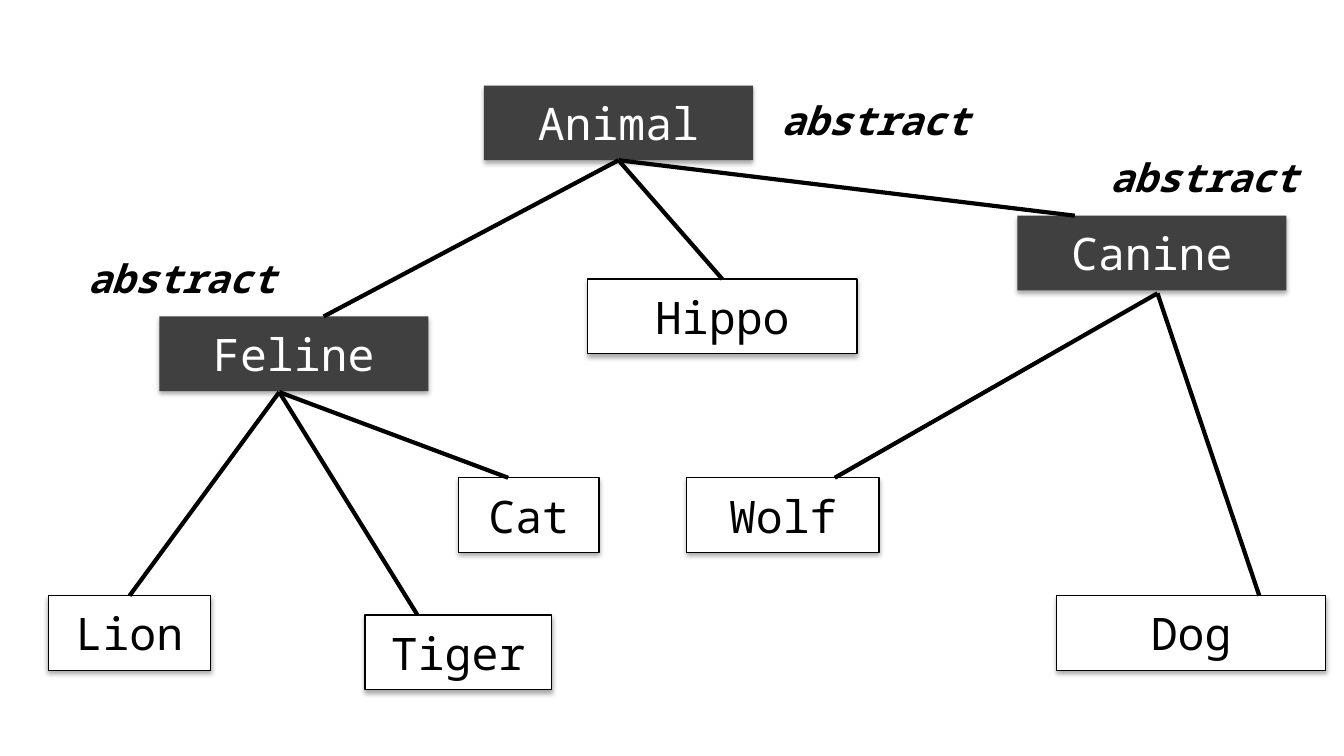
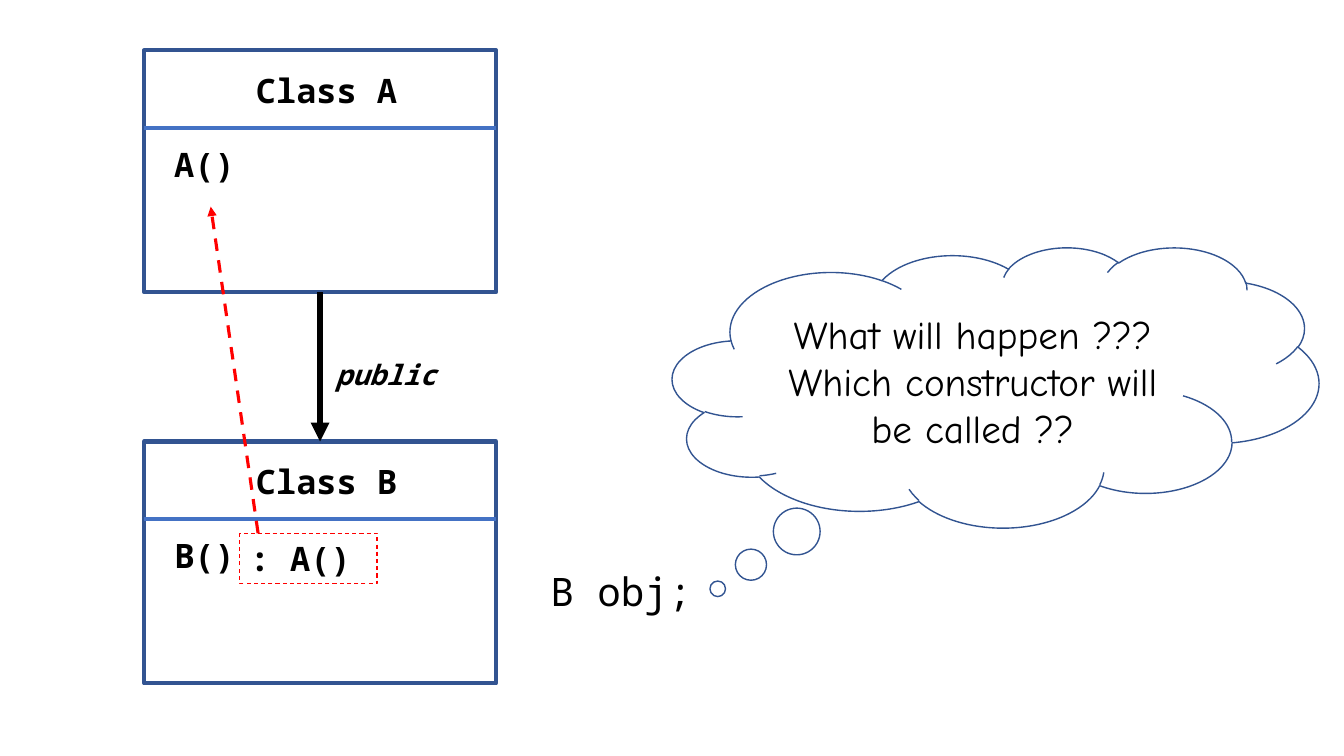
from dataclasses import dataclass

from lxml import etree
from pptx import Presentation
from pptx import util as u
from pptx.dml import color
from pptx.enum import dml, shapes, text
from pptx.oxml import ns

PX = u.Inches(1) // 100
TOP, BOTTOM = 0, 2


@dataclass(frozen=True)
class Theme:
    mono: str = "Noto Sans Mono"
    hand: str = "Comic Neue"
    ink: str = "000000"
    paper: str = "FFFFFF"
    abstract: str = "404040"
    outline: str = "325491"
    divider: str = "4472C4"
    accent: str = "FF0000"
    node: int = 32
    large: int = 28
    body: int = 24
    small: int = 20


T = Theme()


def emu(*lengths):
    return [length * PX for length in lengths]


def rgb(value):
    return color.RGBColor.from_string(value)


def write(sp, content, size, ink=T.ink, align=text.PP_ALIGN.LEFT,
          anchor=text.MSO_ANCHOR.TOP, font=T.mono, grow=False, **style):
    tf = sp.text_frame
    fit = text.MSO_AUTO_SIZE.SHAPE_TO_FIT_TEXT if grow else text.MSO_AUTO_SIZE.NONE
    frame = {"word_wrap": True, "auto_size": fit, "vertical_anchor": anchor}
    for name, value in frame.items():
        setattr(tf, name, value)
    p = tf.paragraphs[0]
    p.alignment = align
    r = p.add_run()
    r.text = content
    for name, value in {"name": font, "size": u.Pt(size), **style}.items():
        setattr(r.font, name, value)
    r.font.color.rgb = rgb(ink)


def label(s, box, content, size, **style):
    write(s.shapes.add_textbox(*emu(*box)), content, size, grow=True, **style)


def shape(s, box, kind=shapes.MSO_SHAPE.RECTANGLE, fill=None, line=None,
          width=1, dash=None):
    sp = s.shapes.add_shape(kind, *emu(*box))
    sp.shadow.inherit = False
    if fill:
        sp.fill.solid()
        sp.fill.fore_color.rgb = rgb(fill)
    else:
        sp.fill.background()
    if line:
        stroke(sp, line, width, dash)
    else:
        sp.line.fill.background()
    return sp


def stroke(sp, ink, width, dash=None):
    sp.line.color.rgb = rgb(ink)
    sp.line.width = u.Pt(width)
    if dash:
        sp.line.dash_style = dash


def connect(s, start, end, ink, width, dash=None, arrow=False,
            begin_at=None, end_at=None):
    c = s.shapes.add_connector(shapes.MSO_CONNECTOR.STRAIGHT, *emu(*start, *end))
    if begin_at:
        c.begin_connect(*begin_at)
    if end_at:
        c.end_connect(*end_at)
    stroke(c, ink, width, dash)
    if arrow:
        etree.SubElement(c.line._get_or_add_ln(), ns.qn("a:tailEnd"), type="triangle")
    etree.SubElement(c._element.spPr, ns.qn("a:effectLst"))


def cast_shadow(sp):
    effects = sp._element.spPr.find(ns.qn("a:effectLst"))
    shadow = etree.SubElement(effects, ns.qn("a:outerShdw"), blurRad=str(u.Pt(3.5)),
                              dist=str(u.Pt(2.2)), dir="5400000", rotWithShape="0")
    ink = etree.SubElement(shadow, ns.qn("a:srgbClr"), val=T.ink)
    etree.SubElement(ink, ns.qn("a:alpha"), val="32000")


def class_tree(s, left, top):
    height = 74
    abstract = {"Animal", "Feline", "Canine"}
    places = {
        "Animal": (432, 0, 267), "Feline": (110, 229, 267),
        "Hippo": (535, 192, 267), "Canine": (961, 129, 267),
        "Cat": (407, 389, 139), "Lion": (0, 506, 161),
        "Tiger": (314, 525, 185), "Dog": (1000, 506, 267),
        "Wolf": (633, 389, 191),
    }
    forks = {"Feline": (229, 304), "Canine": (1100, 206)}
    edges = [
        ("Animal", "Hippo", None), ("Animal", "Feline", 273),
        ("Animal", "Canine", 1018), ("Feline", "Cat", 456),
        ("Feline", "Lion", None), ("Feline", "Tiger", 366),
        ("Canine", "Wolf", 780), ("Canine", "Dog", 1201),
    ]
    nodes = {}
    for name, (x, y, width) in places.items():
        dark = name in abstract
        sp = shape(s, (left + x, top + y, width, height),
                   fill=T.abstract if dark else T.paper, line=None if dark else T.ink)
        cast_shadow(sp)
        write(sp, name, T.node, T.paper if dark else T.ink,
              text.PP_ALIGN.CENTER, text.MSO_ANCHOR.MIDDLE)
        nodes[name] = sp
    for parent, child, end_x in edges:
        fork_x, fork_y = forks.get(parent, (0, 0))
        connect(s, (left + fork_x, top + fork_y),
                (left + (end_x or 0), top + places[child][1]), T.ink, 3,
                begin_at=None if parent in forks else (nodes[parent], BOTTOM),
                end_at=None if end_x else (nodes[child], TOP))
    for x, y in [(29, 162), (717, 6), (1043, 62)]:
        label(s, (left + x, top + y, 214, 57), "abstract", T.large,
              bold=True, italic=True)


def class_box(s, box, name, constructor, constructor_width):
    left, top, width, _ = box
    sp = shape(s, box, line=T.outline, width=3)
    connect(s, (left, top + 77), (left + width, top + 77), T.divider, 3)
    label(s, (left + 101, top + 14, 168, 50), name, T.body, bold=True)
    label(s, (left + 20, top + 88, constructor_width, 50), constructor, T.body, bold=True)
    return sp


def inheritance(s, left, top):
    width, height, step = 349, 240, 388
    base = class_box(s, (left, top, width, height), "Class A", "A()", 250)
    derived = class_box(s, (left, top + step, width, height), "Class B", "B()", 92)
    connect(s, (left, top), (left, top), T.ink, 4.5, arrow=True,
            begin_at=(base, BOTTOM), end_at=(derived, TOP))
    label(s, (left + 180, top + 300, 168, 44), "public", T.small, bold=True, italic=True)
    call_top = top + step + 91
    call = shape(s, (left + 95, call_top, 136, 50), line=T.accent, width=0.75,
                 dash=dml.MSO_LINE.DASH)
    write(call, ": A()", T.body, grow=True, bold=True)
    connect(s, (left + 113, call_top), (left + 66, top + 155), T.accent, 2.25,
            dash=dml.MSO_LINE.DASH, arrow=True)


def question(s, left, top):
    label(s, (left, top + 313, 168, 57), "B obj;", T.large)
    cloud = shape(s, (left + 131, top, 641, 278), shapes.MSO_SHAPE.CLOUD_CALLOUT,
                  line=T.outline)
    cloud.adjustments[0] = -0.43
    cloud.adjustments[1] = 0.72
    write(cloud, "What will happen ??? Which constructor will be called ??", T.large,
          align=text.PP_ALIGN.CENTER, anchor=text.MSO_ANCHOR.MIDDLE, font=T.hand)


def main():
    prs = Presentation()
    prs.slide_width, prs.slide_height = emu(1333, 750)
    blank = prs.slide_layouts[6]
    class_tree(prs.slides.add_slide(blank), 48, 85)
    s = prs.slides.add_slide(blank)
    inheritance(s, 143, 50)
    question(s, 536, 245)
    prs.save("out.pptx")


if __name__ == "__main__":
    main()
